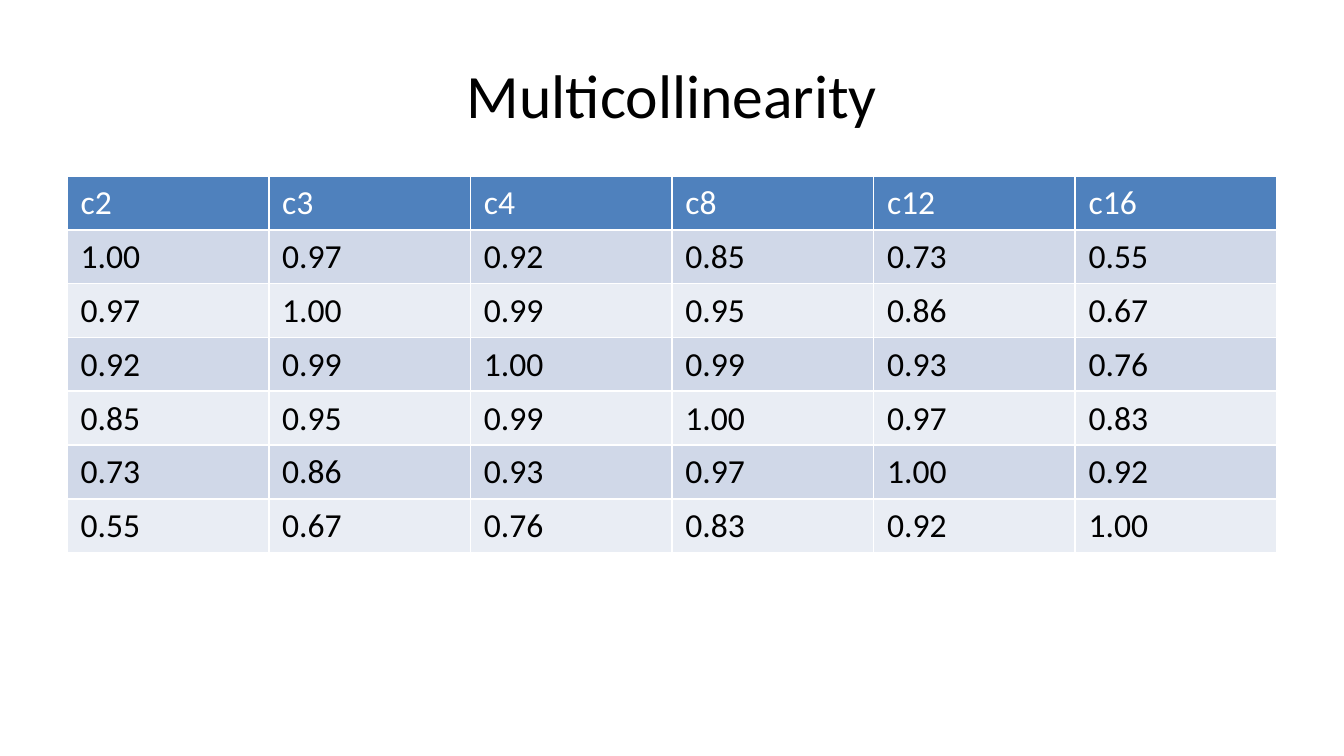
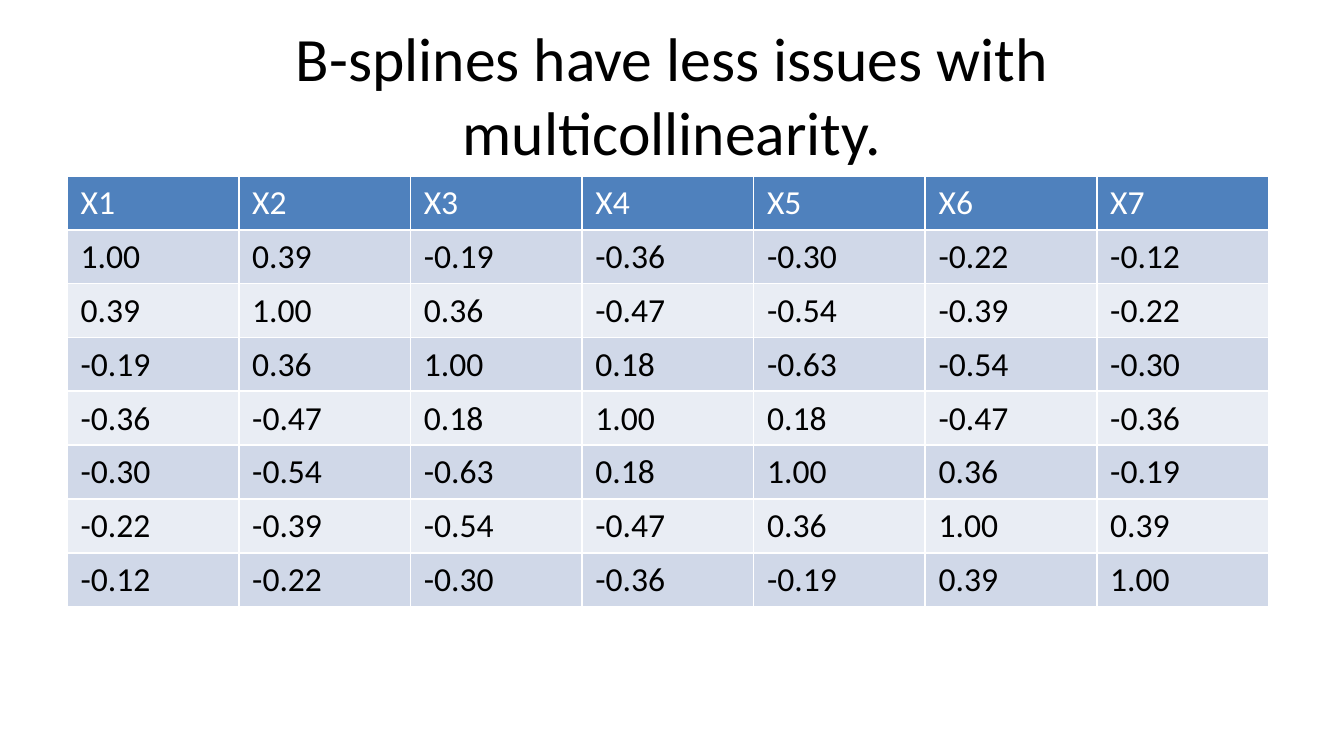
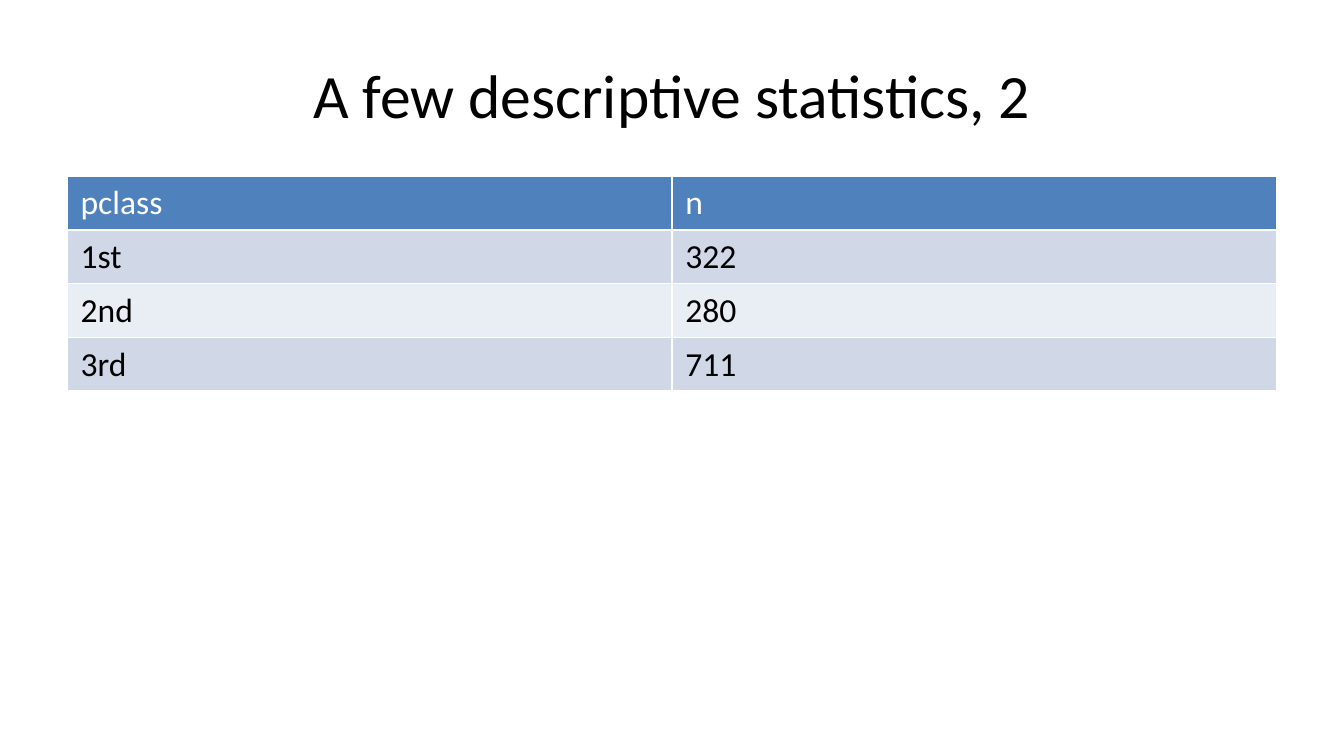
import pptx
import pptx.dml.color
import pptx.enum.text
import pptx.util

Inches = pptx.util.Inches
Pt = pptx.util.Pt


def color(value):
    return pptx.dml.color.RGBColor.from_string(value)


class Deck:
    FONT = "Calibri"
    INK = "000000"
    HEADER_INK = "FFFFFF"
    HEADER_FILL = "4F81BD"
    BAND_FILLS = ("D0D8E8", "E9EDF4")
    MARGIN = 0.5
    CONTENT_WIDTH = 9
    TABLE_TOP = 1.31
    TABLE_HEIGHT = 3.71

    def __init__(self):
        self.presentation = pptx.Presentation()
        self.presentation.slide_width = Inches(10)
        self.presentation.slide_height = Inches(10) * 9 // 16
        self.slide = None

    def add_slide(self, heading):
        blank = self.presentation.slide_layouts[6]
        self.slide = self.presentation.slides.add_slide(blank)
        self.title(heading)

    def style(self, paragraph, size, ink):
        paragraph.font.name = self.FONT
        paragraph.font.size = Pt(size)
        paragraph.font.bold = False
        paragraph.font.color.rgb = color(ink)

    def title(self, heading):
        box = self.slide.shapes.add_textbox(
            Inches(self.MARGIN), Inches(0.23), Inches(self.CONTENT_WIDTH), Inches(0.94)
        )
        frame = box.text_frame
        frame.word_wrap = True
        frame.vertical_anchor = pptx.enum.text.MSO_ANCHOR.MIDDLE
        frame.margin_left = frame.margin_right = Inches(0.15)
        paragraph = frame.paragraphs[0]
        paragraph.text = heading
        paragraph.alignment = pptx.enum.text.PP_ALIGN.CENTER
        self.style(paragraph, 33, self.INK)

    def table(self, rows, columns_width):
        column_count = len(rows[0])
        frame = self.slide.shapes.add_table(
            len(rows),
            column_count,
            Inches(self.MARGIN),
            Inches(self.TABLE_TOP),
            Inches(columns_width),
            Inches(self.TABLE_HEIGHT),
        )
        grid = frame.table
        for row in grid.rows:
            row.height = Inches(0)
        frame.width = Inches(self.CONTENT_WIDTH)
        frame.height = Inches(self.TABLE_HEIGHT)
        for row_index, values in enumerate(rows):
            is_header = row_index == 0
            fill = self.HEADER_FILL if is_header else self.BAND_FILLS[(row_index - 1) % 2]
            ink = self.HEADER_INK if is_header else self.INK
            for column_index, value in enumerate(values):
                cell = grid.cell(row_index, column_index)
                cell.text = value
                cell.fill.solid()
                cell.fill.fore_color.rgb = color(fill)
                self.style(cell.text_frame.paragraphs[0], 18, ink)


POLYNOMIAL_CORRELATIONS = """
c2 c3 c4 c8 c12 c16
1.00 0.97 0.92 0.85 0.73 0.55
0.97 1.00 0.99 0.95 0.86 0.67
0.92 0.99 1.00 0.99 0.93 0.76
0.85 0.95 0.99 1.00 0.97 0.83
0.73 0.86 0.93 0.97 1.00 0.92
0.55 0.67 0.76 0.83 0.92 1.00
"""

SPLINE_CORRELATIONS = """
X1 X2 X3 X4 X5 X6 X7
1.00 0.39 -0.19 -0.36 -0.30 -0.22 -0.12
0.39 1.00 0.36 -0.47 -0.54 -0.39 -0.22
-0.19 0.36 1.00 0.18 -0.63 -0.54 -0.30
-0.36 -0.47 0.18 1.00 0.18 -0.47 -0.36
-0.30 -0.54 -0.63 0.18 1.00 0.36 -0.19
-0.22 -0.39 -0.54 -0.47 0.36 1.00 0.39
-0.12 -0.22 -0.30 -0.36 -0.19 0.39 1.00
"""

PASSENGER_COUNTS = """
pclass n
1st 322
2nd 280
3rd 711
"""

SECTIONS = (
    ("Multicollinearity", POLYNOMIAL_CORRELATIONS, 9),
    ("B-splines have less issues with multicollinearity.", SPLINE_CORRELATIONS, 8.94),
    ("A few descriptive statistics, 2", PASSENGER_COUNTS, 9),
)


def main():
    deck = Deck()
    for heading, figures, columns_width in SECTIONS:
        deck.add_slide(heading)
        deck.table([line.split() for line in figures.strip().splitlines()], columns_width)
    deck.presentation.save("out.pptx")


if __name__ == "__main__":
    main()
